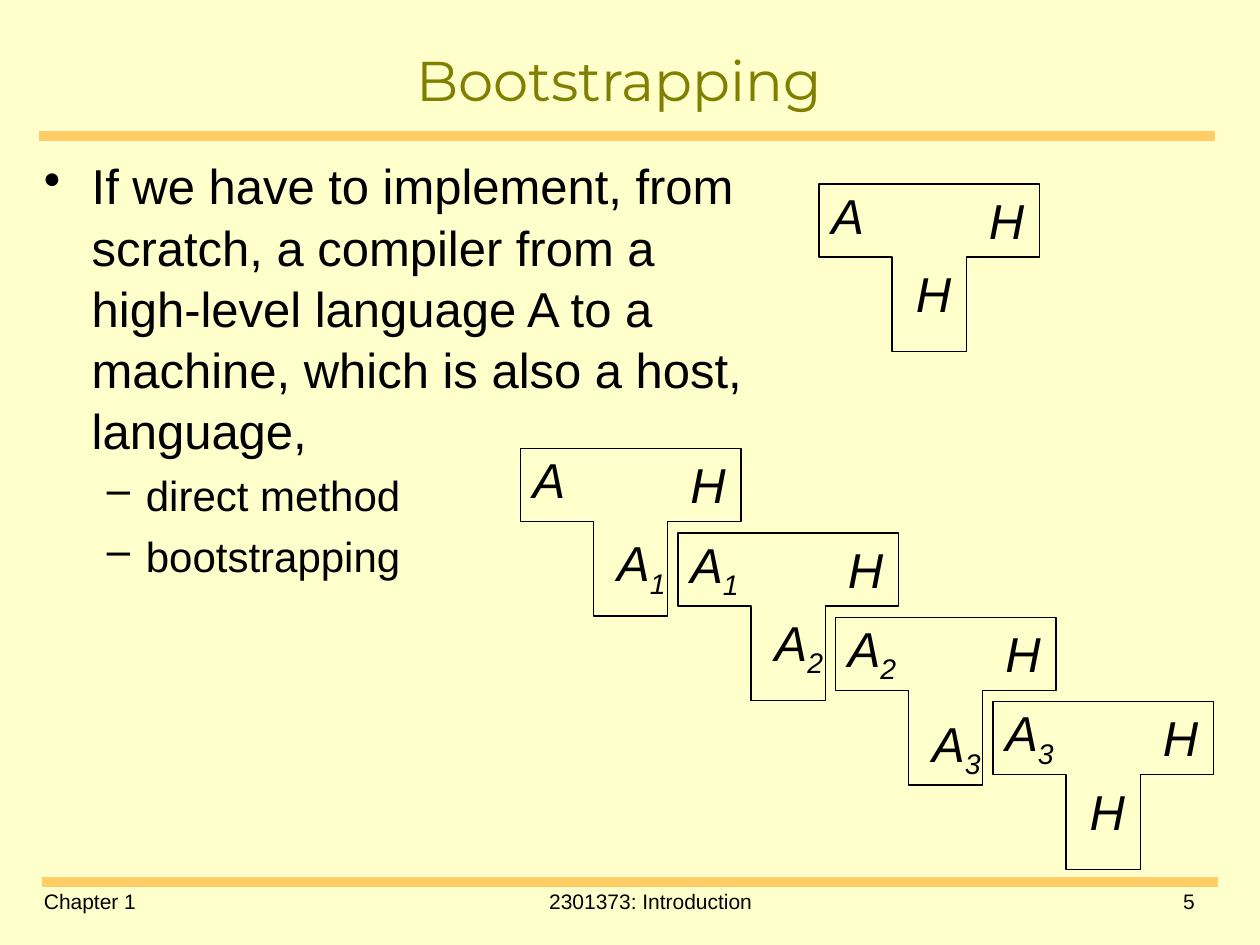
from lxml import etree
from pptx import Presentation
from pptx.dml.color import RGBColor
from pptx.enum.shapes import MSO_CONNECTOR
from pptx.enum.text import MSO_ANCHOR, PP_ALIGN as Align
from pptx.oxml.ns import qn
from pptx.util import Inches, Pt

COLORS = {"paper": "FFFFCC", "rule": "FFCC66", "title": "808000", "ink": "000000"}


def write(paragraph, text, size=28, font="Arial", color="ink", align=Align.LEFT,
          italic=False, subscript="", bullet=None, level=0, left=0, hang=0, before=0):
    """Fill a paragraph with formatted text, and an optional subscript or bullet."""
    paragraph.alignment = align
    paragraph.level = level
    paragraph.space_before = Pt(before)
    if bullet:
        props = paragraph._p.get_or_add_pPr()
        props.set("marL", str(Inches(left)))
        props.set("indent", str(-Inches(hang)))
        etree.SubElement(props, qn("a:buChar")).set("char", bullet)
    for part, baseline in ((text, 0), (subscript, -25000)):
        if not part:
            continue
        run = paragraph.add_run()
        run.text = part
        run.font.size = Pt(size)
        run.font.name = font
        run.font.italic = italic
        run.font.color.rgb = RGBColor.from_string(COLORS[color])
        if baseline:
            run._r.get_or_add_rPr().set("baseline", str(baseline))


def draw_t_diagram(shapes, x, y, source, target, host, host_top=0.58):
    """Draw a T-shaped compiler diagram; each label is a letter plus a digit."""
    outline = [(0, 0), (1.75, 0), (1.75, 0.58), (1.17, 0.58), (1.17, 1.33),
               (0.58, 1.33), (0.58, 0.58), (0, 0.58)]
    points = [(Inches(x + dx), Inches(y + dy)) for dx, dy in outline]
    builder = shapes.build_freeform(*points[0], scale=1.0)
    builder.add_line_segments(points[1:], close=True)
    tee = builder.convert_to_shape()
    tee.shadow.inherit = False
    tee.fill.background()
    tee.line.color.rgb = RGBColor.from_string(COLORS["ink"])
    tee.line.width = Pt(0.75)

    for name, dx, dy in ((source, 0, -0.04), (host, 0.67, host_top), (target, 1.25, 0)):
        width = 0.61 if name[1:] else 0.48 if name == "H" else 0.46
        label = shapes.add_textbox(Inches(x + dx), Inches(y + dy), Inches(width), Inches(0.57))
        label.text_frame.word_wrap = False
        write(label.text_frame.paragraphs[0], name[0], subscript=name[1:], italic=True)


prs = Presentation()
prs.slide_width, prs.slide_height = Inches(10), Inches(7.5)
slide = prs.slides.add_slide(prs.slide_layouts[5])
slide.background.fill.solid()
slide.background.fill.fore_color.rgb = RGBColor.from_string(COLORS["paper"])

# Rules under the title and above the footer
for x, y, length in ((0.31, 1.08, 9.33), (0.33, 7, 9.34)):
    rule = slide.shapes.add_connector(
        MSO_CONNECTOR.STRAIGHT, Inches(x), Inches(y), Inches(x + length), Inches(y))
    rule.line.color.rgb = RGBColor.from_string(COLORS["rule"])
    rule.line.width = Pt(6)
    etree.SubElement(rule._element.spPr, qn("a:effectLst"))

# Footer
for text, x, width, align in (
    ("Chapter 1", 0.25, 2.25, Align.LEFT),
    ("2301373: Introduction", 2.58, 5.17, Align.CENTER),
    ("5", 8.33, 1.25, Align.RIGHT),
):
    footer = slide.shapes.add_textbox(Inches(x), Inches(7), Inches(width), Inches(0.33))
    footer.text_frame.word_wrap = True
    write(footer.text_frame.paragraphs[0], text, size=12, align=align)

# Title
title = slide.shapes.title
title.left, title.top = Inches(0.25), Inches(0.25)
title.width, title.height = Inches(9.33), Inches(0.75)
title.text_frame.vertical_anchor = MSO_ANCHOR.MIDDLE
write(title.text_frame.paragraphs[0], "Bootstrapping", size=32, font="Montserrat",
      color="title", align=Align.CENTER)

# Bullets
body = slide.shapes.add_textbox(Inches(0.25), Inches(1.17), Inches(6), Inches(5.75)).text_frame
body.word_wrap = True
problem = body.paragraphs[0]
problem.line_spacing = 1.04
write(problem, "If we have to implement, from scratch, a compiler from a high-level "
      "language A to a machine, which is also a host, language,",
      bullet="•", left=0.38, hang=0.38)
for method in ("direct method", "bootstrapping"):
    item = body.add_paragraph()
    item.line_spacing = 1.04
    write(item, method, size=24, bullet="–", level=1, left=0.81, hang=0.31, before=4.8)

# Direct method: one compiler
direct = slide.shapes.add_group_shape()
draw_t_diagram(direct.shapes, 6.5, 1.46, "A", "H", "H")

# Bootstrapping: each compiler is written in the next one's source language
chain = slide.shapes.add_group_shape()
stages = (("A", "A1", 0.62), ("A1", "A2", 0.58), ("A2", "A3", 0.71), ("A3", "H", 0.58))
for i, (source, host, host_top) in enumerate(stages):
    draw_t_diagram(chain.shapes, 4.13 + 1.25 * i, 3.56 + 0.67 * i, source, "H", host, host_top)

prs.save("out.pptx")
